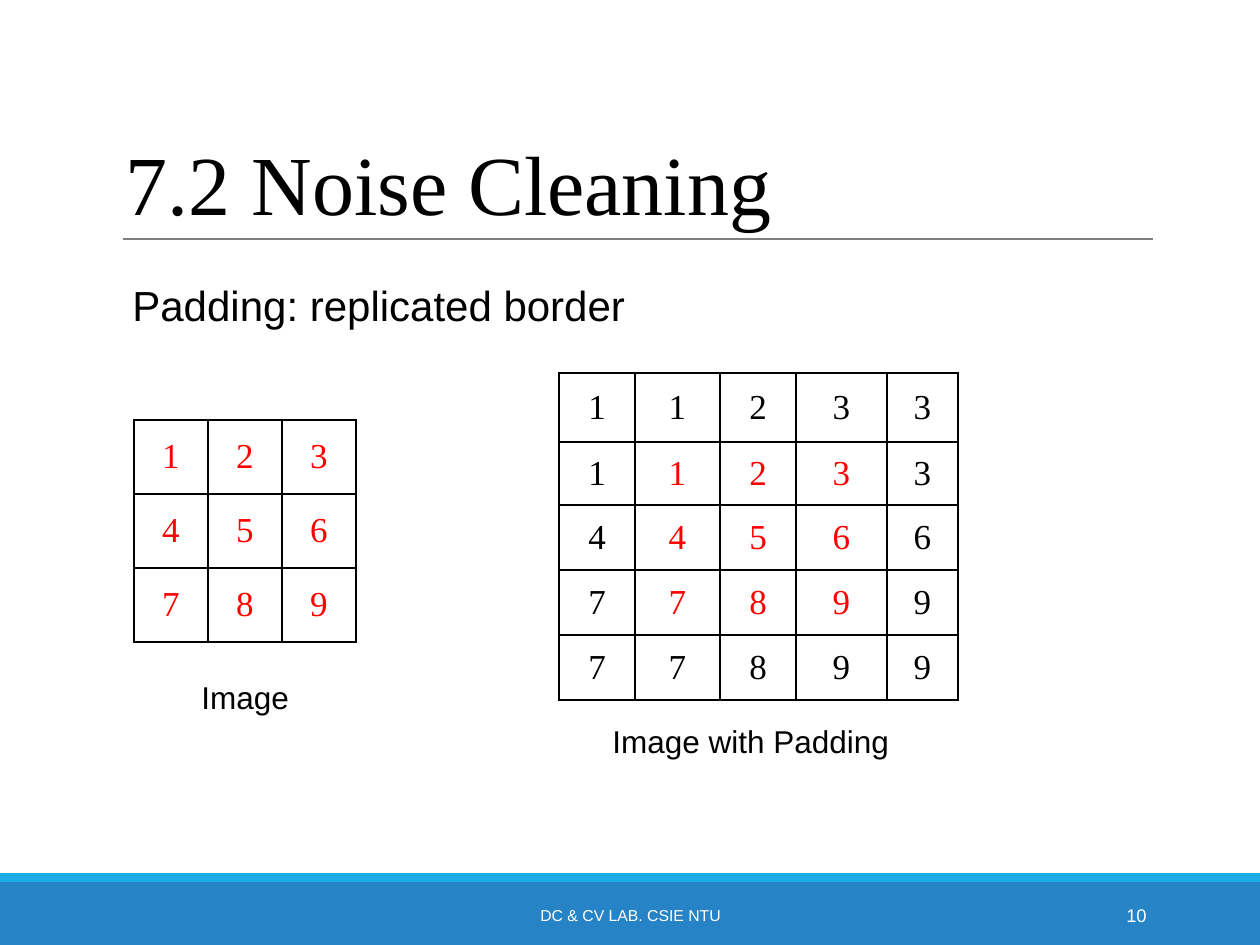
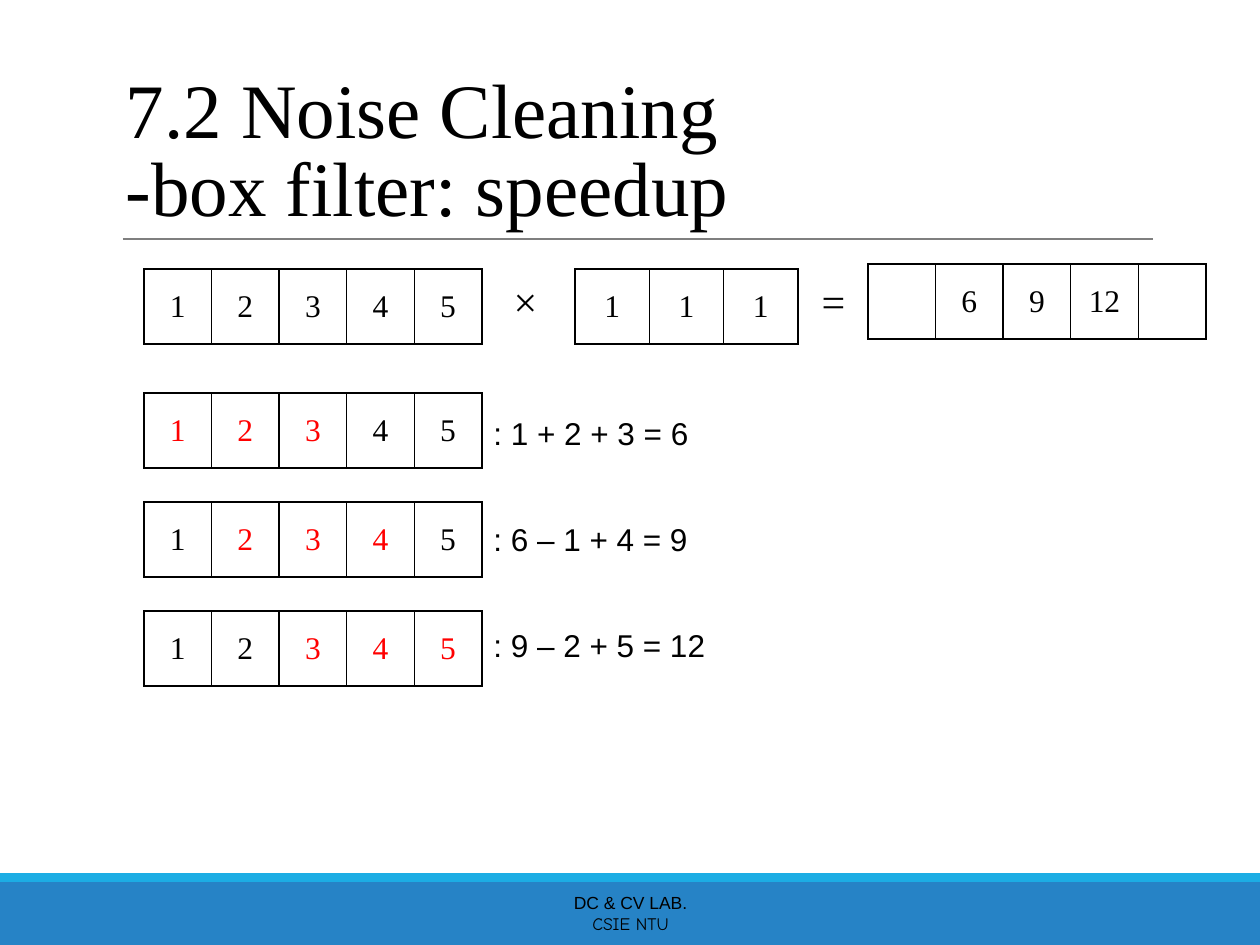
from lxml import etree
from pptx import Presentation
from pptx import util as u
from pptx.dml.color import RGBColor
from pptx.enum import shapes, text
from pptx.oxml import ns

PX = 914400 / 126
SERIF, SANS, COMIC = "Times New Roman", "Arial", "Comic Neue"
BLACK, WHITE, RED = "000000", "FFFFFF", "FF0000"
BAND, STRIPE, RULE = "2683C6", "1CADE4", "7F7F7F"
LEFT, CENTER, RIGHT = text.PP_ALIGN.LEFT, text.PP_ALIGN.CENTER, text.PP_ALIGN.RIGHT
TOP, MIDDLE, BOTTOM = (text.MSO_ANCHOR.TOP, text.MSO_ANCHOR.MIDDLE,
                       text.MSO_ANCHOR.BOTTOM)


def px(*lengths):
    return [u.Emu(round(n * PX)) for n in lengths]


def color(hex_string):
    return RGBColor.from_string(hex_string)


def write(tf, lines, size=18, fonts=(SANS,), fill=BLACK, align=LEFT, spacing=None):
    """Fill a text frame, one paragraph per line; fonts pair up with lines."""
    for i, (line, font) in enumerate(zip(lines, fonts)):
        p = tf.paragraphs[0] if i == 0 else tf.add_paragraph()
        p.text = line
        p.alignment = align
        if spacing:
            p.line_spacing = spacing
        for r in p.runs:
            r.font.size = u.Pt(size)
            r.font.name = font
            r.font.color.rgb = color(fill)


def add_label(slide, box, *lines, anchor=TOP, **fmt):
    tf = slide.shapes.add_textbox(*px(*box)).text_frame
    tf.word_wrap = True
    tf.vertical_anchor = anchor
    write(tf, lines, **fmt)


def add_band(slide, box, fill):
    sp = slide.shapes.add_shape(shapes.MSO_SHAPE.RECTANGLE, *px(*box))
    sp.shadow.inherit = False
    sp.fill.solid()
    sp.fill.fore_color.rgb = color(fill)
    sp.line.fill.background()


def add_rule(slide, left, right, y):
    line = slide.shapes.add_connector(shapes.MSO_CONNECTOR.STRAIGHT,
                                      *px(left, y, right, y))
    line.line.color.rgb = color(RULE)
    line.line.width = u.Pt(0.75)
    etree.SubElement(line._element.spPr, ns.qn("a:effectLst"))


def add_titled_slide(prs, title, size):
    """Start a slide with the shared bands, rule and title."""
    slide = prs.slides.add_slide(prs.slide_layouts[5])
    add_band(slide, (0, 882, 1260, 63), BAND)
    add_band(slide, (0, 873, 1260, 9), STRIPE)
    add_rule(slide, 123, 1153, 239)
    sp = slide.shapes.title
    sp.left, sp.top, sp.width, sp.height = px(113, 39, 1040, 200)
    tf = sp.text_frame
    tf.auto_size = text.MSO_AUTO_SIZE.NONE
    tf.word_wrap = True
    tf.vertical_anchor = BOTTOM
    write(tf, [title], size=size, fonts=(SERIF,), spacing=0.85)
    return slide


def set_borders(cell):
    tcPr = cell._tc.get_or_add_tcPr()
    for side in ("lnL", "lnR", "lnT", "lnB"):
        ln = etree.SubElement(tcPr, ns.qn(f"a:{side}"), w=str(u.Pt(1)))
        solid = etree.SubElement(ln, ns.qn("a:solidFill"))
        etree.SubElement(solid, ns.qn("a:srgbClr"), val=BLACK)


def add_grid(slide, left, top, rows, widths, heights, red=(), size=18):
    """Draw pixel values as a table; red holds the (row, column) marked cells."""
    frame = slide.shapes.add_table(len(rows), len(widths),
                                   *px(left, top, sum(widths), sum(heights)))
    table = frame.table
    table.first_row = table.horz_banding = False
    for tracks, attr, lengths in ((table.columns, "width", widths),
                                  (table.rows, "height", heights)):
        for track, length in zip(tracks, px(*lengths)):
            setattr(track, attr, length)
    for i, row in enumerate(rows):
        for j, value in enumerate(row):
            cell = table.cell(i, j)
            set_borders(cell)
            cell.fill.solid()
            cell.fill.fore_color.rgb = color(WHITE)
            cell.vertical_anchor = MIDDLE
            write(cell.text_frame, [value], size=size, fonts=(SERIF,), align=CENTER,
                  fill=RED if (i, j) in red else BLACK)


def add_strip(slide, left, top, values, width=338, red=()):
    """Draw one row of equal cells; red holds the marked columns."""
    n = len(values)
    add_grid(slide, left, top, [values], [width / n] * n, [75],
             red=[(0, j) for j in red])


def build_padding(prs):
    slide = add_titled_slide(prs, "7.2 Noise Cleaning", 48)
    add_label(slide, (120, 273, 524, 63), "Padding: replicated border", size=24)

    image = ["123", "456", "789"]
    inner = [(i, j) for i in range(3) for j in range(3)]
    add_grid(slide, 134, 420, image, [74] * 3, [74] * 3, red=inner, size=20)
    add_label(slide, (189, 672, 116, 50), "Image")

    wide = [row[0] + row + row[-1] for row in image]
    padded = [wide[0], *wide, wide[-1]]
    add_grid(slide, 559, 373, padded, [76, 85, 76, 91, 71], [69, 63, 65, 65, 65],
             red=[(i + 1, j + 1) for i, j in inner], size=20)
    add_label(slide, (600, 716, 308, 50), "Image with Padding")

    add_label(slide, (381, 890, 499, 50), "DC & CV LAB. CSIE NTU",
              anchor=MIDDLE, size=9, fill=WHITE, align=CENTER)
    add_label(slide, (1023, 890, 136, 50), "10",
              anchor=MIDDLE, size=10.5, fill=WHITE, align=RIGHT)


def build_speedup(prs):
    slide = add_titled_slide(prs, "7.2 Noise Cleaning\v-box filter: speedup", 44)
    signal = "12345"
    add_strip(slide, 144, 269, signal)
    add_strip(slide, 575, 269, "111", width=223)
    add_strip(slide, 868, 264, ["", "6", "9", "12", ""])
    for left, sign in ((491, "×"), (799, "=")):
        add_label(slide, (left, 269, 69, 63), sign, size=24, fonts=(SERIF,),
                  align=CENTER)

    sums = [": 1 + 2 + 3 = 6", ": 6 – 1 + 4 = 9", ": 9 – 2 + 5 = 12"]
    for step, formula in enumerate(sums):
        add_strip(slide, 144, 393 + 109 * step, signal, red=range(step, step + 3))
        add_label(slide, (481, 408 + 106 * step, 240, 50), formula)

    add_label(slide, (431, 882, 399, 63), "DC & CV LAB.", "CSIE NTU",
              anchor=MIDDLE, size=10, fonts=(SANS, COMIC), align=CENTER)


def main():
    prs = Presentation()
    prs.slide_width, prs.slide_height = px(1260, 945)
    build_padding(prs)
    build_speedup(prs)
    prs.save("out.pptx")


if __name__ == "__main__":
    main()
